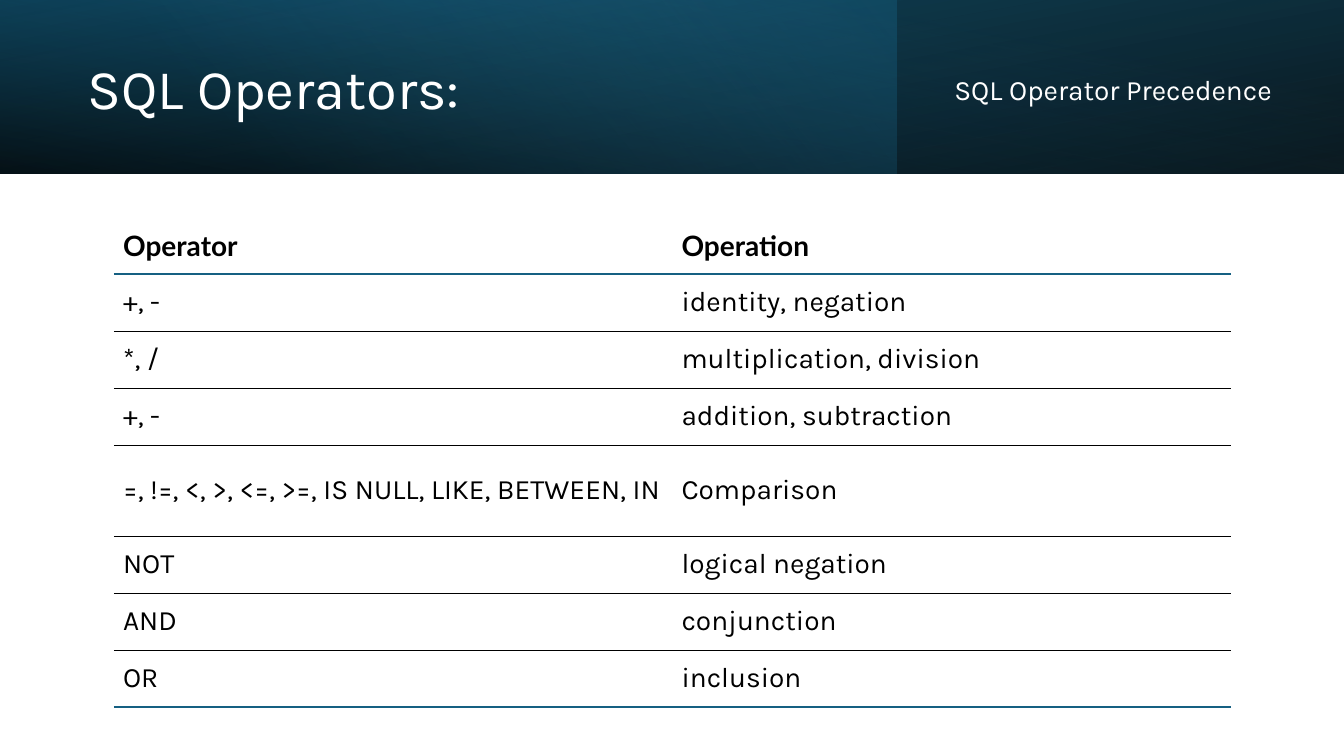
from dataclasses import dataclass
from typing import Optional

import lxml.etree
import pptx
import pptx.dml.color
import pptx.enum.shapes
import pptx.enum.text
import pptx.oxml
import pptx.oxml.ns
import pptx.util

Pt = pptx.util.Pt
qn = pptx.oxml.ns.qn


@dataclass(frozen=True)
class Theme:
    white: str = "FFFFFF"
    black: str = "000000"
    teal: str = "156082"
    deep_teal: str = "104862"
    sky: str = "46B1E1"
    body_font: str = "Karla"
    header_font: str = "Lato"
    title_size: float = 40
    body_size: float = 20


@dataclass(frozen=True)
class Stop:
    pos: int
    color: str
    alpha: int


@dataclass(frozen=True)
class Band:
    width: float
    angle: int
    stops: tuple[Stop, ...]
    rotation: int = 0
    flip: bool = False


@dataclass(frozen=True)
class Label:
    text: str
    left: float
    top: float
    width: float
    height: float
    size: float
    space_before: float = 0


@dataclass(frozen=True)
class Rule:
    color: str
    width: float


THEME = Theme()
SLIDE_W, SLIDE_H, BAND_H = 960, 540, 123.9
TABLE_LEFT, TABLE_TOP, COL_W = 81.4, 154.8, 398.9
ROW_H, COMPARISON_H, CELL_MARGIN = 40.75, 65, 6.5

BANDS = (
    Band(SLIDE_W, 100, (Stop(0, THEME.black, 96), Stop(100, THEME.deep_teal, 100)), 180, True),
    Band(640.1, 140, (Stop(0, THEME.teal, 41), Stop(74, THEME.sky, 0))),
    Band(SLIDE_W, 260, (Stop(0, THEME.black, 63), Stop(78, THEME.teal, 15)), flip=True),
)
LABELS = (
    Label("SQL Operators:", 55.4, 19.4, 555.8, 91.4, THEME.title_size),
    Label("SQL Operator Precedence", 674.6, 31, 254.9, 69.1, THEME.body_size, 10),
)
ROWS = (
    ("Operator", "Operation"),
    ("+, -", "identity, negation"),
    ("*, /", "multiplication, division"),
    ("+, -", "addition, subtraction"),
    ("=, !=, <, >, <=, >=, IS NULL, LIKE, BETWEEN, IN", "Comparison"),
    ("NOT", "logical negation"),
    ("AND", "conjunction"),
    ("OR", "inclusion"),
)
HEADER_RULE = Rule(THEME.teal, 1.5)
ROW_RULE = Rule(THEME.black, 0.25)
LAST_RULE = Rule(THEME.teal, 1)
RULES = (None, HEADER_RULE, *[ROW_RULE] * (len(ROWS) - 2), LAST_RULE)


def add_run(p, text: str, size: float, color: str, font: str, bold: bool = False) -> None:
    r = p.add_run()
    r.text = text
    r.font.size = Pt(size)
    r.font.name = font
    r.font.bold = bold
    r.font.color.rgb = pptx.dml.color.RGBColor.from_string(color)


def add_band(s, band: Band) -> None:
    sp = s.shapes.add_shape(pptx.enum.shapes.MSO_SHAPE.RECTANGLE, 0, 0, Pt(band.width), Pt(BAND_H))
    sp.shadow.inherit = False
    sp.line.fill.background()
    sp.rotation = band.rotation
    if band.flip:
        sp.element.spPr.find(qn("a:xfrm")).set("flipH", "1")
    sp.fill.gradient()
    grad = sp.element.spPr.find(qn("a:gradFill"))
    for child in list(grad):
        grad.remove(child)
    stops = lxml.etree.SubElement(grad, qn("a:gsLst"))
    for stop in band.stops:
        gs = lxml.etree.SubElement(stops, qn("a:gs"), pos=str(stop.pos * 1000))
        clr = lxml.etree.SubElement(gs, qn("a:srgbClr"), val=stop.color)
        lxml.etree.SubElement(clr, qn("a:alpha"), val=str(stop.alpha * 1000))
    lxml.etree.SubElement(grad, qn("a:lin"), ang=str(band.angle * 60000), scaled="0")


def add_label(s, label: Label) -> None:
    sp = s.shapes.add_textbox(Pt(label.left), Pt(label.top), Pt(label.width), Pt(label.height))
    tf = sp.text_frame
    tf.word_wrap = True
    tf.vertical_anchor = pptx.enum.text.MSO_ANCHOR.MIDDLE
    p = tf.paragraphs[0]
    p.line_spacing = 0.9
    p.space_before = Pt(label.space_before)
    add_run(p, label.text, label.size, THEME.white, THEME.body_font)


def set_border(cell, tag: str, rule: Optional[Rule]) -> None:
    ln = lxml.etree.SubElement(cell._tc.get_or_add_tcPr(), qn(tag))
    if rule is None:
        ln.set("w", "0")
        lxml.etree.SubElement(ln, qn("a:noFill"))
        return
    ln.set("w", str(int(Pt(rule.width))))
    fill = lxml.etree.SubElement(ln, qn("a:solidFill"))
    lxml.etree.SubElement(fill, qn("a:srgbClr"), val=rule.color)


def fill_cell(cell, text: str, header: bool, above: Optional[Rule], below: Optional[Rule]) -> None:
    borders = {"a:lnL": None, "a:lnR": None, "a:lnT": above, "a:lnB": below}
    for tag, rule in borders.items():
        set_border(cell, tag, rule)
    cell.fill.background()
    cell.vertical_anchor = pptx.enum.text.MSO_ANCHOR.MIDDLE
    cell.margin_left = cell.margin_right = Pt(CELL_MARGIN)
    cell.margin_top = cell.margin_bottom = Pt(CELL_MARGIN)
    font = THEME.header_font if header else THEME.body_font
    add_run(cell.text_frame.paragraphs[0], text, THEME.body_size, THEME.black, font, header)


def add_operator_table(s) -> None:
    heights = [COMPARISON_H if row[1] == "Comparison" else ROW_H for row in ROWS]
    cols = len(ROWS[0])
    table = s.shapes.add_table(
        len(ROWS), cols, Pt(TABLE_LEFT), Pt(TABLE_TOP), Pt(COL_W * cols), Pt(sum(heights))
    ).table
    table.first_row = table.horz_banding = False
    for col in table.columns:
        col.width = Pt(COL_W)
    for i, (row, height) in enumerate(zip(ROWS, heights)):
        table.rows[i].height = Pt(height)
        for j, text in enumerate(row):
            fill_cell(table.cell(i, j), text, i == 0, RULES[i], RULES[i + 1])


def main() -> None:
    prs = pptx.Presentation()
    prs.slide_width, prs.slide_height = Pt(SLIDE_W), Pt(SLIDE_H)
    s = prs.slides.add_slide(prs.slide_layouts[6])
    for band in BANDS:
        add_band(s, band)
    for label in LABELS:
        add_label(s, label)
    add_operator_table(s)
    prs.save("out.pptx")


if __name__ == "__main__":
    main()
